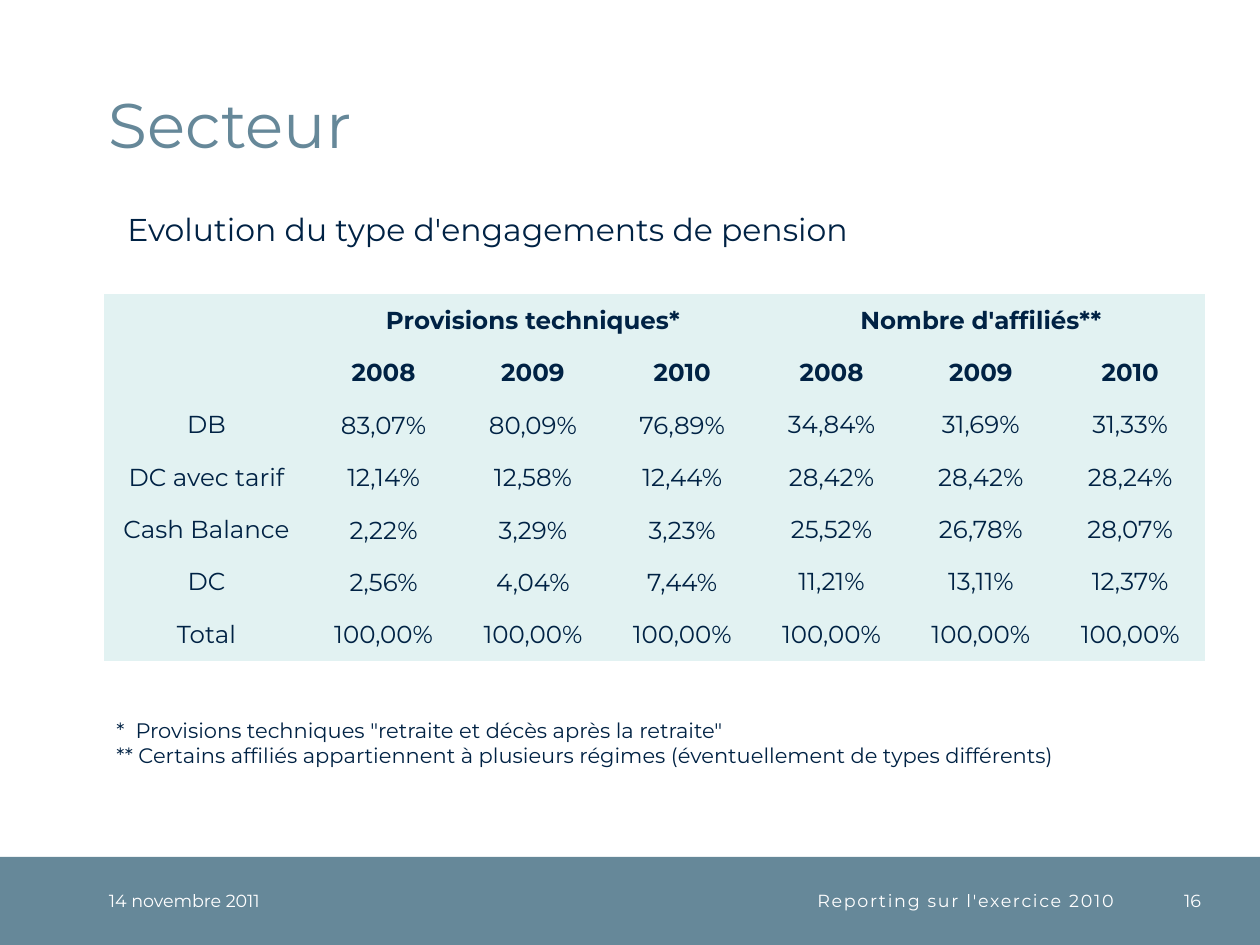
from typing import NamedTuple

from pptx import Presentation
from pptx import util as u
from pptx.dml.color import RGBColor
from pptx.enum import shapes, text

FONT = "Montserrat"
NAVY, SLATE, PALE, WHITE = "002244", "668899", "E2F2F2", "FFFFFF"
LEFT, MID, RIGHT = text.PP_ALIGN.LEFT, text.PP_ALIGN.CENTER, text.PP_ALIGN.RIGHT


class Box(NamedTuple):
    x: int
    y: int
    w: int
    h: int


class Label(NamedTuple):
    box: Box
    lines: list[str]
    size: int
    color: str
    align: text.PP_ALIGN = LEFT
    bar: bool = False
    gap: int = 0


BAR = Box(0, 857, 1260, 88)
GRID = Box(104, 294, 1101, 367)
HEAD = 205
YEARS = ["2008", "2009", "2010"]
ROWS = [
    ["", "Provisions techniques*", "", "", "Nombre d'affiliés**", "", ""],
    ["", *YEARS, *YEARS],
    ["DB", "83,07%", "80,09%", "76,89%", "34,84%", "31,69%", "31,33%"],
    ["DC avec tarif", "12,14%", "12,58%", "12,44%", "28,42%", "28,42%", "28,24%"],
    ["Cash Balance", "2,22%", "3,29%", "3,23%", "25,52%", "26,78%", "28,07%"],
    ["DC", "2,56%", "4,04%", "7,44%", "11,21%", "13,11%", "12,37%"],
    ["Total"] + ["100,00%"] * 6,
]
LABELS = [
    Label(Box(109, BAR.y, 223, BAR.h), ["14 novembre 2011"], 10, WHITE, bar=True),
    Label(Box(333, BAR.y, 781, BAR.h), ["Reporting sur l'exercice 2010"],
          10, WHITE, RIGHT, True, 100),
    Label(Box(1139, BAR.y, 62, BAR.h), ["16"], 10, WHITE, RIGHT, True),
    Label(Box(115, 204, 1062, 50), ["Evolution du type d'engagements de pension"],
          18, NAVY),
    Label(Box(104, 711, 1101, 63),
          ['*  Provisions techniques "retraite et décès après la retraite"',
           "** Certains affiliés appartiennent à plusieurs régimes "
           "(éventuellement de types différents)"], 12, NAVY),
]


def px(n: float) -> int:
    return round(n * u.Inches(1) / 126)


def place(box: Box) -> list[int]:
    return [px(n) for n in box]


def paint(fill, color: str) -> None:
    fill.solid()
    fill.fore_color.rgb = RGBColor.from_string(color)


def style(para, size: int, color: str, align, bold: bool = False) -> None:
    para.alignment = align
    font = para.font
    font.name, font.size, font.bold = FONT, u.Pt(size), bold
    font.color.rgb = RGBColor.from_string(color)


def trim(area, top: int = 0) -> None:
    area.margin_left = area.margin_right = area.margin_bottom = 0
    area.margin_top = px(top)


def draw_title(slide) -> None:
    title = slide.shapes.title
    title.left, title.top, title.width, title.height = place(Box(109, 25, 1087, 136))
    frame = title.text_frame
    frame.text = "Secteur"
    frame.auto_size = text.MSO_AUTO_SIZE.NONE
    frame.vertical_anchor = text.MSO_ANCHOR.BOTTOM
    trim(frame)
    para = frame.paragraphs[0]
    style(para, 36, SLATE, LEFT)
    para.line_spacing = u.Pt(32)


def draw_bar(slide) -> None:
    bar = slide.shapes.add_shape(shapes.MSO_SHAPE.RECTANGLE, *place(BAR))
    bar.shadow.inherit = False
    paint(bar.fill, SLATE)
    bar.line.fill.background()


def draw_label(slide, label: Label) -> None:
    frame = slide.shapes.add_textbox(*place(label.box)).text_frame
    frame.word_wrap = True
    frame.text = "\n".join(label.lines)
    if label.bar:
        trim(frame)
        frame.vertical_anchor = text.MSO_ANCHOR.MIDDLE
    for para in frame.paragraphs:
        style(para, label.size, label.color, label.align)
        if label.gap:
            para.runs[0].font._element.set("spc", str(label.gap))


def draw_table(slide) -> None:
    rows, cols = len(ROWS), len(ROWS[0])
    frame = slide.shapes.add_table(rows, cols, *place(GRID))
    frame._element.xpath(".//a:tableStyleId")[0].text = (
        "{2D5ABB26-0587-4C30-8999-92F81FD0307C}")
    table = frame.table
    table.first_row = table.horz_banding = False
    for i, col in enumerate(table.columns):
        col.width = px((GRID.w - HEAD) / (cols - 1) if i else HEAD)
    for row in table.rows:
        row.height = px(GRID.h / rows)
    for r, row in enumerate(ROWS):
        for c, word in enumerate(row):
            cell = table.cell(r, c)
            cell.text = word
            paint(cell.fill, PALE)
            trim(cell, int(1 < r < rows - 1 and 0 < c < 4))
            cell.vertical_anchor = text.MSO_ANCHOR.MIDDLE
            style(cell.text_frame.paragraphs[0], 14, NAVY, MID, r < 2)
    table.cell(0, 0).merge(table.cell(1, 0))
    for c in (1, 4):
        table.cell(0, c).merge(table.cell(0, c + 2))


def main() -> None:
    deck = Presentation()
    deck.slide_width, deck.slide_height = px(1260), px(945)
    slide = deck.slides.add_slide(deck.slide_layouts[5])
    draw_bar(slide)
    draw_title(slide)
    draw_table(slide)
    for label in LABELS:
        draw_label(slide, label)
    deck.save("out.pptx")


if __name__ == "__main__":
    main()
